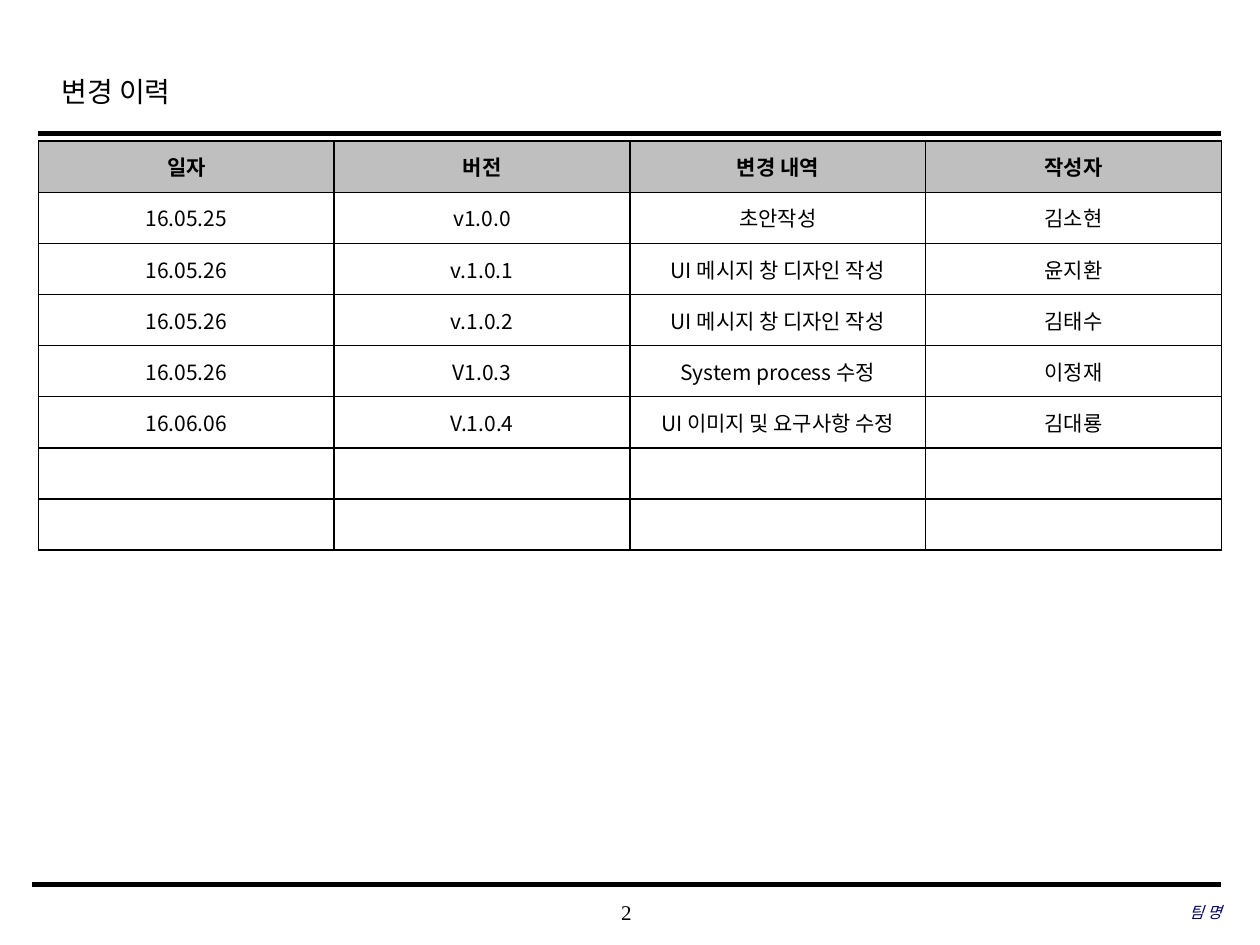
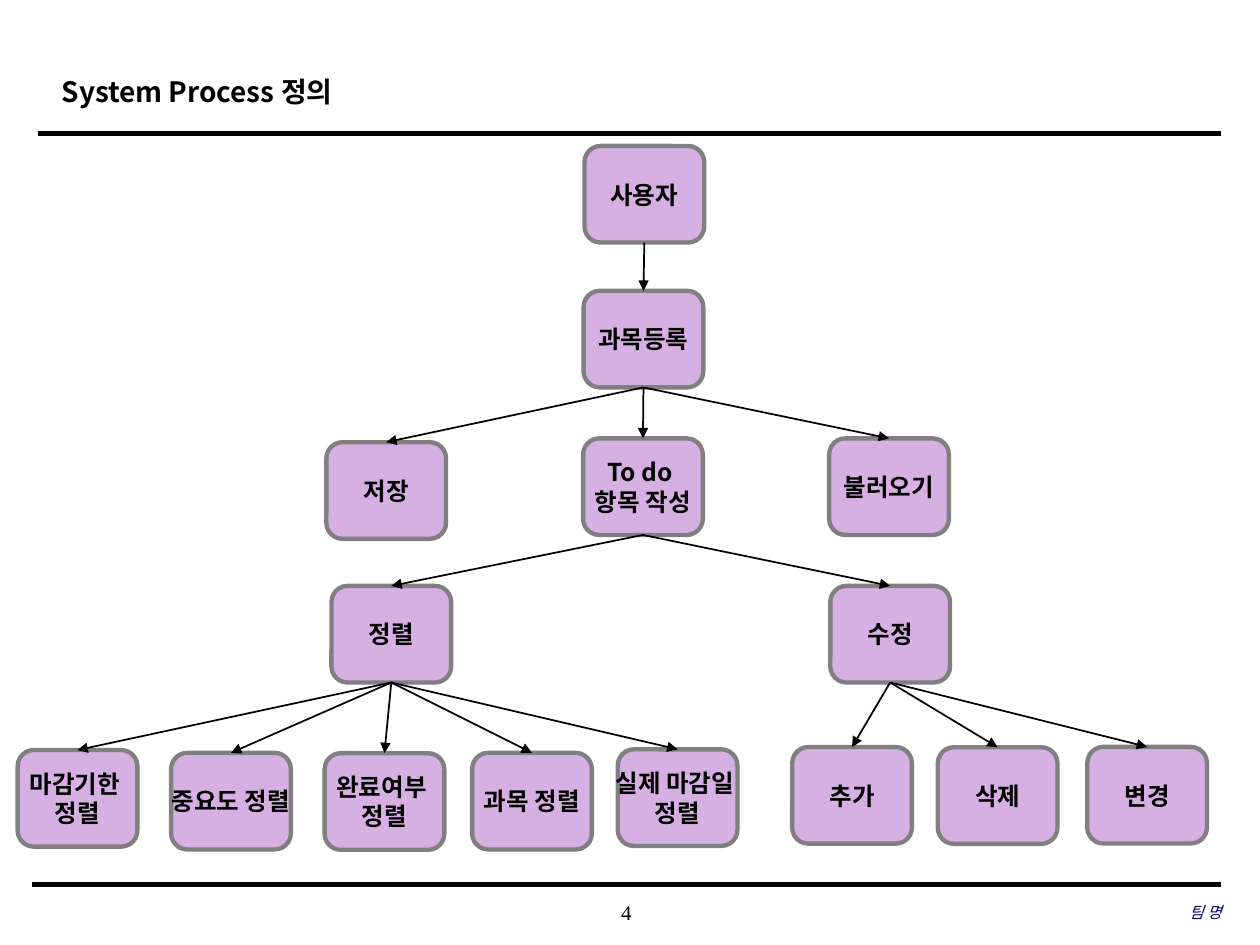
from lxml.etree import SubElement
from pptx import Presentation
from pptx.dml.color import RGBColor
from pptx.enum.shapes import MSO_CONNECTOR as Connector, MSO_SHAPE as Preset
from pptx.enum.text import MSO_ANCHOR as Anchor, MSO_AUTO_SIZE as AutoSize, PP_ALIGN as Align
from pptx.oxml.ns import qn
from pptx.util import Pt

BLACK = RGBColor(0x00, 0x00, 0x00)
WHITE = RGBColor(0xFF, 0xFF, 0xFF)
NAVY = RGBColor(0x00, 0x00, 0x66)
HEADER_GRAY = RGBColor(0xBF, 0xBF, 0xBF)
BORDER_GRAY = RGBColor(0x80, 0x80, 0x80)
LILAC = RGBColor(0xD6, 0xB0, 0xE2)

SERIF = "Times New Roman"
SANS = "Noto Sans CJK KR"

NUMBER_FORMAT = {"size": Pt(12), "name": SERIF}
TEAM_FORMAT = {"size": Pt(9), "name": SERIF, "italic": True}
PLAIN_TITLE = {"size": Pt(16), "name": SERIF, "bold": False}
BOLD_TITLE = {"size": Pt(16), "name": SANS, "bold": True}
HEADER_FORMAT = {"size": Pt(12), "name": SANS, "bold": True}
CELL_FORMAT = {"size": Pt(12), "name": SANS, "bold": False}
NODE_FORMAT = {"size": Pt(14), "name": SANS, "bold": True}

HISTORY = [
    ("일자", "버전", "변경 내역", "작성자"),
    ("16.05.25", "v1.0.0", "초안작성", "김소현"),
    ("16.05.26", "v.1.0.1", "UI 메시지 창 디자인 작성", "윤지환"),
    ("16.05.26", "v.1.0.2", "UI 메시지 창 디자인 작성", "김태수"),
    ("16.05.26", "V1.0.3", "System process 수정", "이정재"),
    ("16.06.06", "V.1.0.4", "UI 이미지 및 요구사항 수정", "김대룡"),
    ("",) * 4,
    ("",) * 4,
]

NODE_WIDTH, NODE_HEIGHT = 68.4, 55.2
# key: (left, top, lines)
NODES = {
    "user": (334, 83.4, ["사용자"]),
    "subject": (333.5, 166.2, ["과목등록"]),
    "save": (186.5, 252.7, ["저장"]),
    "todo": (333.2, 250.5, ["To do ", "항목 작성"]),
    "load": (473.8, 250.5, ["불러오기"]),
    "sort": (189.4, 334.8, ["정렬"]),
    "edit": (474.5, 334.8, ["수정"]),
    "by deadline": (10.1, 428.6, ["마감기한 ", "정렬"]),
    "by priority": (97.8, 430.2, ["중요도 정렬"]),
    "by completion": (185.5, 430.4, ["완료여부 ", "정렬"]),
    "by subject": (269.8, 430.2, ["과목 정렬"]),
    "by real deadline": (353, 428.2, ["실제 마감일 ", "정렬"]),
    "add": (452.7, 426.9, ["추가"]),
    "delete": (535.9, 427, ["삭제"]),
    "change": (621.3, 426.8, ["변경"]),
}
CHILDREN = {
    "user": ["subject"],
    "subject": ["save", "todo", "load"],
    "todo": ["sort", "edit"],
    "sort": ["by deadline", "by priority", "by completion", "by subject", "by real deadline"],
    "edit": ["add", "delete", "change"],
}


def write(frame, lines, formats, color=BLACK, align=Align.CENTER, anchor=Anchor.MIDDLE):
    """Fill a text frame with one formatted paragraph per line."""
    frame.vertical_anchor = anchor
    for index, line in enumerate(lines):
        paragraph = frame.add_paragraph() if index else frame.paragraphs[0]
        paragraph.alignment = align
        run = paragraph.add_run()
        run.text = line
        for name, value in formats.items():
            setattr(run.font, name, value)
        run.font.color.rgb = color
        SubElement(run.font._element, qn("a:ea"), typeface=SANS)


def add_line(slide, start, end, width, arrow=False):
    line = slide.shapes.add_connector(Connector.STRAIGHT, *map(Pt, start + end))
    line.line.color.rgb = BLACK
    line.line.width = Pt(width)
    if arrow:
        SubElement(line.line._get_or_add_ln(), qn("a:tailEnd"), type="triangle")
    SubElement(line._element.spPr, qn("a:effectLst"))
    return line


def add_footer_text(slide, left, width, text, formats, color, align):
    frame = slide.shapes.add_textbox(Pt(left), Pt(509.5), Pt(width), Pt(23.8)).text_frame
    frame.word_wrap = True
    for side in ("left", "top", "right", "bottom"):
        setattr(frame, f"margin_{side}", 0)
    write(frame, [text], formats, color, align)


def add_titled_slide(presentation, title_text, title_format, number):
    """Add a slide with its title, two rules, page number and team name."""
    slide = presentation.slides.add_slide(presentation.slide_layouts[5])
    title = slide.shapes.title
    title.left, title.top, title.width, title.height = map(Pt, (28, 35.3, 543.6, 36))
    title.text_frame.auto_size = AutoSize.NONE
    write(title.text_frame, [title_text], title_format, align=Align.LEFT, anchor=Anchor.TOP)
    title.text_frame.paragraphs[0].line_spacing = 1.2
    add_line(slide, (22, 76.3), (698, 76.3), 2.5)
    add_line(slide, (18, 505.3), (698, 505.3), 3)
    add_footer_text(slide, 283, 149.8, number, NUMBER_FORMAT, BLACK, Align.CENTER)
    add_footer_text(slide, 477.7, 220.3, "팀 명", TEAM_FORMAT, NAVY, Align.RIGHT)
    return slide


def add_borders(cell):
    properties = cell._tc.get_or_add_tcPr()
    for index, side in enumerate(("lnL", "lnR", "lnT", "lnB")):
        border = properties.makeelement(qn(f"a:{side}"), {"w": str(Pt(1))})
        fill = SubElement(border, qn("a:solidFill"))
        SubElement(fill, qn("a:srgbClr"), val=str(BLACK))
        properties.insert(index, border)


def add_history_table(slide):
    row_height, column_width = Pt(29.2), Pt(169)
    row_count, column_count = len(HISTORY), len(HISTORY[0])
    table = slide.shapes.add_table(row_count, column_count, Pt(22), Pt(80.7),
                                   column_width * column_count, row_height * row_count).table
    table.horz_banding = False
    for row_index, texts in enumerate(HISTORY):
        table.rows[row_index].height = row_height
        is_header = row_index == 0
        for column_index, text in enumerate(texts):
            cell = table.cell(row_index, column_index)
            cell.fill.solid()
            cell.fill.fore_color.rgb = HEADER_GRAY if is_header else WHITE
            write(cell.text_frame, [text], HEADER_FORMAT if is_header else CELL_FORMAT)
            cell.vertical_anchor = Anchor.MIDDLE
            add_borders(cell)


def add_node(slide, left, top, lines):
    node = slide.shapes.add_shape(Preset.ROUNDED_RECTANGLE, Pt(left), Pt(top),
                                  Pt(NODE_WIDTH), Pt(NODE_HEIGHT))
    node.shadow.inherit = False
    node.fill.solid()
    node.fill.fore_color.rgb = LILAC
    node.line.color.rgb = BORDER_GRAY
    node.line.width = Pt(2.5)
    node.text_frame.word_wrap = False
    write(node.text_frame, lines, NODE_FORMAT)
    return node


def add_process_tree(slide):
    nodes = {key: add_node(slide, *values) for key, values in NODES.items()}
    for parent, children in CHILDREN.items():
        for child in children:
            arrow = add_line(slide, (0, 0), (0, 0), 1, arrow=True)
            arrow.begin_connect(nodes[parent], 2)
            arrow.end_connect(nodes[child], 0)


def main():
    presentation = Presentation()
    presentation.slide_width, presentation.slide_height = Pt(720), Pt(540)
    add_history_table(add_titled_slide(presentation, "변경 이력", PLAIN_TITLE, "2"))
    add_process_tree(add_titled_slide(presentation, "System Process 정의", BOLD_TITLE, "4"))
    presentation.save("out.pptx")


if __name__ == "__main__":
    main()
